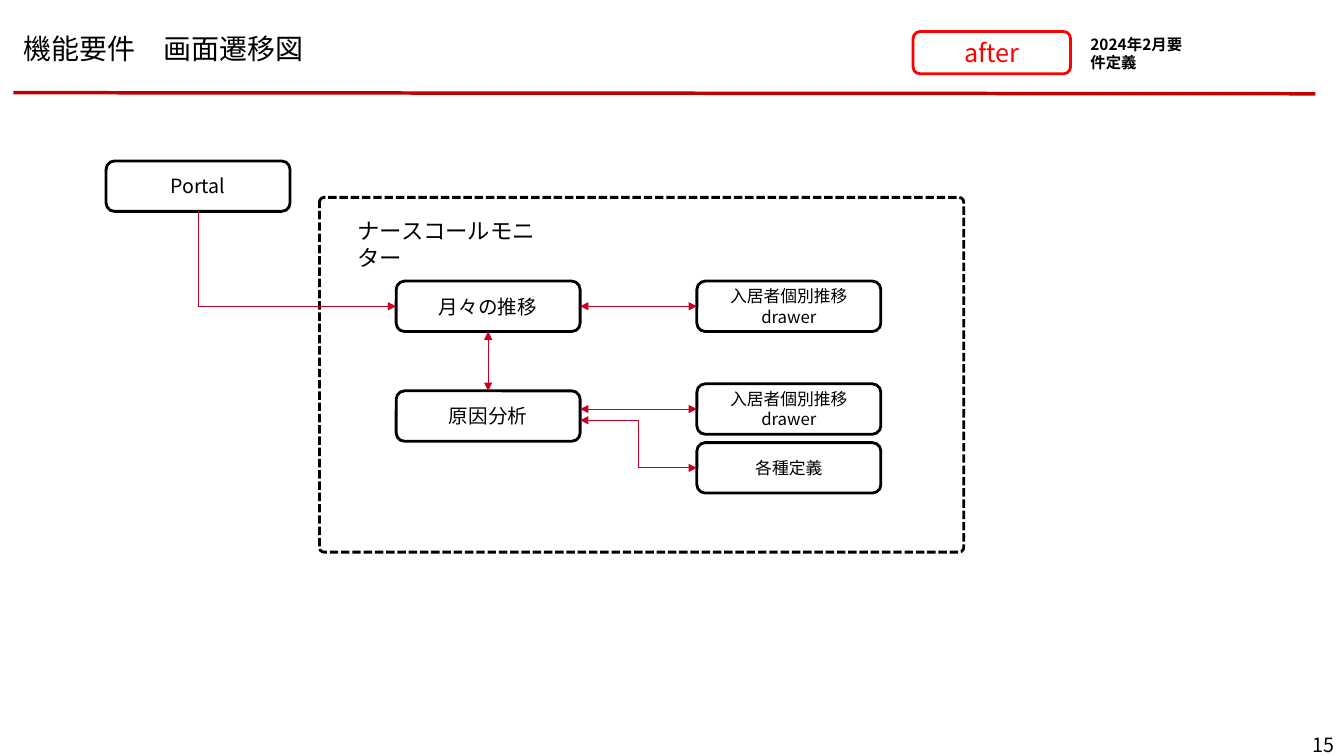
"""Build the screen transition diagram slide."""
from dataclasses import dataclass
from typing import Any, Optional

import lxml.etree
import pptx
import pptx.dml.color
import pptx.enum.dml
import pptx.enum.shapes
import pptx.enum.text
import pptx.oxml.ns
import pptx.util

Pt = pptx.util.Pt
SHAPE = pptx.enum.shapes.MSO_SHAPE
CONNECTOR = pptx.enum.shapes.MSO_CONNECTOR
ALIGN = pptx.enum.text.PP_ALIGN
ANCHOR = pptx.enum.text.MSO_ANCHOR
FIT = pptx.enum.text.MSO_AUTO_SIZE
FONT = "Noto Sans CJK JP"
COLORS = {"black": "000000", "white": "FFFFFF", "rule": "C00000", "arrow": "C80021", "after": "FF0000"}
TOP, LEFT, BOTTOM, RIGHT = range(4)
BOX_WIDTH, BOX_HEIGHT = 131.4, 36


@dataclass
class Box:
    """An outlined rounded box."""

    left: float
    top: float
    text: str = ""
    size: float = 14
    width: float = BOX_WIDTH
    height: float = BOX_HEIGHT
    color: str = "black"
    corner: Optional[float] = None
    dashed: bool = False


@dataclass
class Link:
    """An arrow between two boxes, moved from the middle of a side by a shift."""

    start: str
    start_side: int
    end: str
    end_side: int
    start_shift: float = 0
    elbow: bool = False
    both_ends: bool = True


BOXES = {
    "portal": Box(75.8, 115, "Portal"),
    "monthly": Box(283, 200.8, "月々の推移"),
    "cause": Box(283, 279.2, "原因分析"),
    "monthly drawer": Box(497.8, 200.8, "入居者個別推移drawer", 12),
    "cause drawer": Box(497.8, 274.2, "入居者個別推移drawer", 12),
    "definitions": Box(497.8, 316.2, "各種定義", 12),
    "monitor": Box(228.2, 141, width=460.2, height=253.4, corner=0.013, dashed=True),
    "after": Box(652.2, 22.5, "after", 18, 112.5, 30.2, "after"),
}
LINKS = [
    Link("monthly", BOTTOM, "cause", TOP),
    Link("monthly", RIGHT, "monthly drawer", LEFT),
    Link("cause", RIGHT, "cause drawer", LEFT, -5),
    Link("cause", RIGHT, "definitions", LEFT, 3, elbow=True),
    Link("portal", BOTTOM, "monthly", LEFT, elbow=True, both_ends=False),
]


def apply(target: Any, values: dict[str, Any]) -> None:
    """Set each named attribute on the target."""
    for name, value in values.items():
        setattr(target, name, value)


def rgb(color: str) -> pptx.dml.color.RGBColor:
    """Return a named colour."""
    return pptx.dml.color.RGBColor.from_string(COLORS[color])


def write_text(shape: Any, text: str, size: float, align: ALIGN, anchor: ANCHOR, color: str = "black",
               bold: bool = False, frame_values: Optional[dict[str, Any]] = None) -> None:
    """Write one formatted paragraph into a shape."""
    frame = shape.text_frame
    apply(frame, {"word_wrap": True, "vertical_anchor": anchor, **(frame_values or {})})
    paragraph = frame.paragraphs[0]
    apply(paragraph, {"alignment": align, "space_before": Pt(0)})
    run = paragraph.add_run()
    run.text = text
    apply(run.font, {"name": FONT, "size": Pt(size), "bold": bold})
    run.font.color.rgb = rgb(color)
    east_asian = lxml.etree.SubElement(run.font._element, pptx.oxml.ns.qn("a:ea"))
    east_asian.set("typeface", FONT)


def draw_box(slide: Any, box: Box) -> Any:
    """Draw an outlined box with centred text."""
    shape = slide.shapes.add_shape(SHAPE.ROUNDED_RECTANGLE, Pt(box.left), Pt(box.top), Pt(box.width), Pt(box.height))
    shape.shadow.inherit = False
    shape.fill.background()
    shape.line.width = Pt(2)
    shape.line.color.rgb = rgb(box.color)
    if box.corner is not None:
        shape.adjustments[0] = box.corner
    if box.dashed:
        shape.line.dash_style = pptx.enum.dml.MSO_LINE.SQUARE_DOT
    if box.text:
        write_text(shape, box.text, box.size, ALIGN.CENTER, ANCHOR.MIDDLE, box.color)
    return shape


def draw_line(slide: Any, kind: CONNECTOR, start: tuple[float, float], end: tuple[float, float],
              color: str, width: float, arrows: tuple[str, ...] = ()) -> Any:
    """Draw a connector with arrowheads at the named ends."""
    connector = slide.shapes.add_connector(kind, *(Pt(value) for value in (*start, *end)))
    connector.line.color.rgb = rgb(color)
    connector.line.width = Pt(width)
    for arrow in arrows:
        head = lxml.etree.SubElement(connector.line._get_or_add_ln(), pptx.oxml.ns.qn(f"a:{arrow}"))
        head.set("type", "triangle")
    lxml.etree.SubElement(connector._element.spPr, pptx.oxml.ns.qn("a:effectLst"))
    return connector


def side_point(box: Box, side: int) -> tuple[float, float]:
    """Return the middle of a side of a box."""
    across, down = {TOP: (0.5, 0), LEFT: (0, 0.5), BOTTOM: (0.5, 1), RIGHT: (1, 0.5)}[side]
    return box.left + across * box.width, box.top + down * box.height


def turn_corner(connector: Any, start: tuple[float, float], end: tuple[float, float]) -> None:
    """Make an elbow go down and then right with a single bend."""
    across, down = end[0] - start[0], end[1] - start[1]
    center_x, center_y = (start[0] + end[0]) / 2, (start[1] + end[1]) / 2
    apply(connector, {"left": Pt(center_x - down / 2), "top": Pt(center_y - across / 2),
                      "width": Pt(down), "height": Pt(across)})
    properties = connector._element.spPr
    properties.find(pptx.oxml.ns.qn("a:prstGeom")).set("prst", "bentConnector2")
    transform = properties.find(pptx.oxml.ns.qn("a:xfrm"))
    transform.set("rot", "16200000")
    transform.set("flipH", "1")


def draw_link(slide: Any, link: Link, shapes: dict[str, Any]) -> None:
    """Draw an arrow and join it to its boxes."""
    start_x, start_y = side_point(BOXES[link.start], link.start_side)
    start = (start_x, start_y + link.start_shift)
    end = side_point(BOXES[link.end], link.end_side)
    kind = CONNECTOR.ELBOW if link.elbow else CONNECTOR.STRAIGHT
    arrows = ("headEnd", "tailEnd") if link.both_ends else ("tailEnd",)
    connector = draw_line(slide, kind, start, end, "arrow", 0.75, arrows)
    if not link.start_shift:
        connector.begin_connect(shapes[link.start], link.start_side)
    connector.end_connect(shapes[link.end], link.end_side)
    if link.elbow and link.start_side == BOTTOM:
        turn_corner(connector, start, end)


def main() -> None:
    """Build and save the presentation."""
    presentation = pptx.Presentation()
    apply(presentation, {"slide_width": Pt(960), "slide_height": Pt(540)})
    slide = presentation.slides.add_slide(presentation.slide_layouts[5])

    title = slide.shapes.title
    apply(title, {"left": Pt(9.5), "top": Pt(10), "width": Pt(703.5), "height": Pt(49)})
    write_text(title, "機能要件　画面遷移図", 20, ALIGN.LEFT, ANCHOR.MIDDLE)
    draw_line(slide, CONNECTOR.STRAIGHT, (9.5, 66.2), (939.5, 67), "rule", 2.5)

    shapes = {name: draw_box(slide, box) for name, box in BOXES.items()}
    for link in LINKS:
        draw_link(slide, link, shapes)

    growing = {"margin_left": Pt(14.4), "margin_right": Pt(14.4), "auto_size": FIT.SHAPE_TO_FIT_TEXT}
    label = slide.shapes.add_textbox(Pt(241), Pt(151.5), Pt(158), Pt(26.5))
    label.fill.solid()
    label.fill.fore_color.rgb = rgb("white")
    write_text(label, "ナースコールモニター", 16, ALIGN.LEFT, ANCHOR.TOP, frame_values=growing)
    phase = slide.shapes.add_textbox(Pt(764.5), Pt(21), Pt(96.5), Pt(34))
    write_text(phase, "2024年2月要件定義", 11, ALIGN.LEFT, ANCHOR.MIDDLE, bold=True, frame_values=growing)
    number = slide.shapes.add_textbox(Pt(0), Pt(511), Pt(960), Pt(29))
    write_text(number, "15", 14, ALIGN.RIGHT, ANCHOR.BOTTOM, frame_values={"margin_bottom": Pt(0)})
    presentation.save("out.pptx")


if __name__ == "__main__":
    main()
